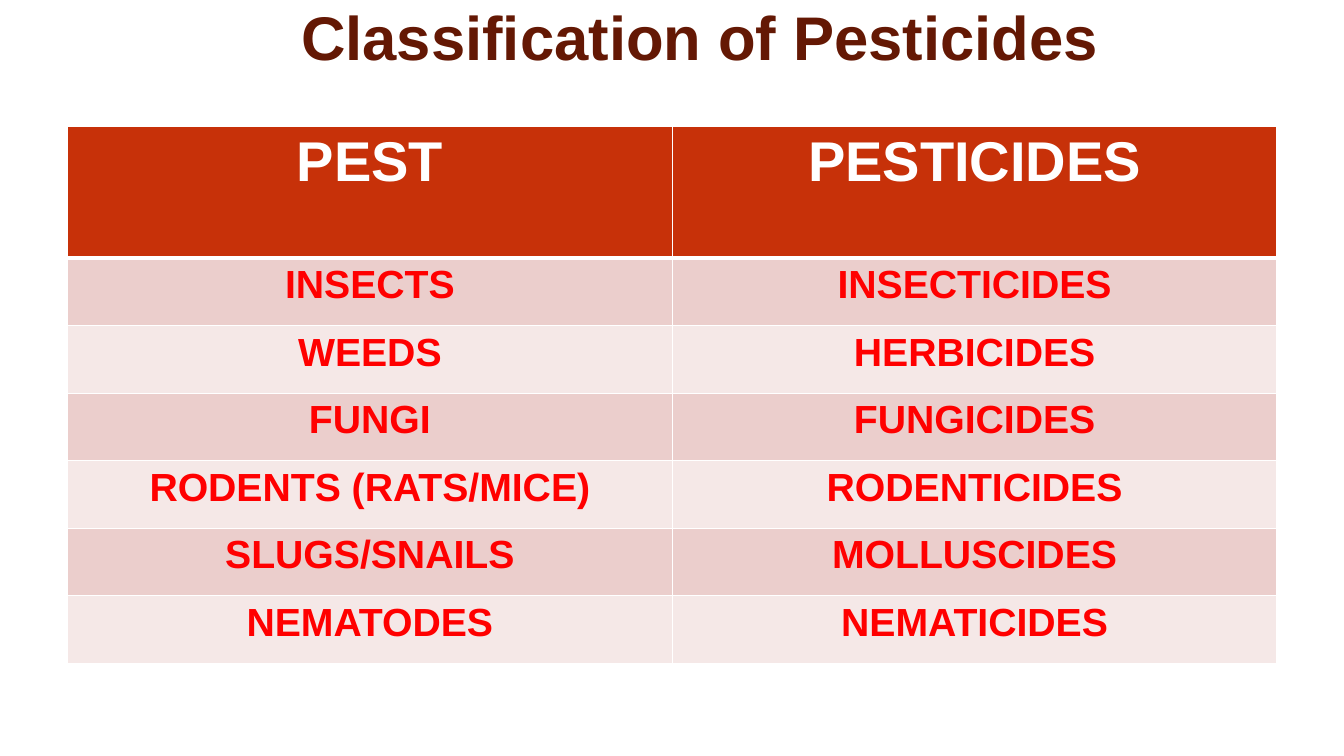
from dataclasses import dataclass

from lxml import etree
from pptx import Presentation
from pptx.dml.color import RGBColor
from pptx.enum.text import MSO_ANCHOR, PP_ALIGN
from pptx.oxml.ns import qn
from pptx.util import Cm, Pt

CENTER = PP_ALIGN.CENTER
MIDDLE = MSO_ANCHOR.MIDDLE


@dataclass(frozen=True)
class Theme:
    """Colours, font and type sizes of the slide."""
    font: str = "Arial"
    title: str = "641804"
    header_fill: str = "C73109"
    header_text: str = "FFFFFF"
    body_text: str = "FF0000"
    bands: tuple = ("EBCECC", "F5E8E7")
    border: str = "FFFFFF"
    title_size: int = 44
    header_size: int = 40
    body_size: int = 28


THEME = Theme()
ROWS = [
    ("PEST", "PESTICIDES"),
    ("INSECTS", "INSECTICIDES"),
    ("WEEDS", "HERBICIDES"),
    ("FUNGI", "FUNGICIDES"),
    ("RODENTS (RATS/MICE)", "RODENTICIDES"),
    ("SLUGS/SNAILS", "MOLLUSCIDES"),
    ("NEMATODES", "NEMATICIDES"),
]


def write_text(frame, text, size, color):
    """Fill a text frame with one bold, centred paragraph."""
    paragraph = frame.paragraphs[0]
    paragraph.text = text
    paragraph.alignment = CENTER
    paragraph.font.name = THEME.font
    paragraph.font.size = Pt(size)
    paragraph.font.bold = True
    paragraph.font.color.rgb = RGBColor.from_string(color)


def add_borders(cell, widths):
    """Draw cell borders; widths maps each side (L, R, T, B) to points."""
    properties = cell._tc.get_or_add_tcPr()
    for side, width in widths.items():
        line = etree.SubElement(properties, qn(f"a:ln{side}"), w=str(Pt(width)))
        fill = etree.SubElement(line, qn("a:solidFill"))
        etree.SubElement(fill, qn("a:srgbClr"), val=THEME.border)


presentation = Presentation()
presentation.slide_width = Cm(33.87)
presentation.slide_height = Cm(19.05)
slide = presentation.slides.add_slide(presentation.slide_layouts[6])

title = slide.shapes.add_textbox(Cm(4.25), Cm(0.1), Cm(26.8), Cm(1.63)).text_frame
title.word_wrap = True
title.vertical_anchor = MIDDLE
write_text(title, "Classification of Pesticides", THEME.title_size, THEME.title)

table = slide.shapes.add_table(
    len(ROWS), 2, Cm(1.7), Cm(3.18), Cm(30.48), Cm(13.53)).table
for column in table.columns:
    column.width = Cm(15.24)

for row_index, labels in enumerate(ROWS):
    is_header = row_index == 0
    table.rows[row_index].height = Cm(3.33 if is_header else 1.7)
    if is_header:
        fill, color, size = THEME.header_fill, THEME.header_text, THEME.header_size
    else:
        fill = THEME.bands[(row_index - 1) % 2]
        color, size = THEME.body_text, THEME.body_size
    widths = {"L": 1, "R": 1, "T": 3 if row_index == 1 else 1, "B": 3 if is_header else 1}
    for column_index, label in enumerate(labels):
        cell = table.cell(row_index, column_index)
        add_borders(cell, widths)
        cell.fill.solid()
        cell.fill.fore_color.rgb = RGBColor.from_string(fill)
        write_text(cell.text_frame, label, size, color)

presentation.save("out.pptx")
